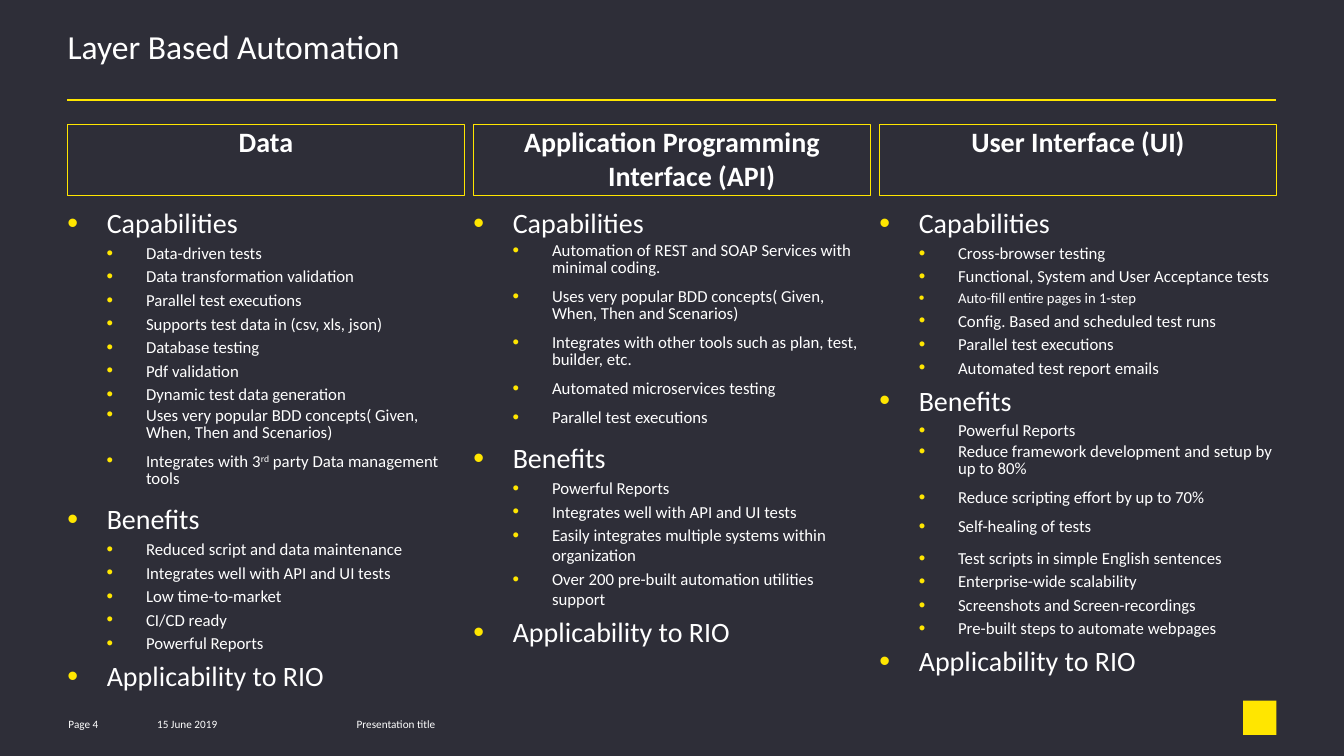
"""Builds the Layer Based Automation slide with three columns of bulleted text."""
from lxml.etree import SubElement
from pptx import Presentation
from pptx.dml.color import RGBColor
from pptx.enum.shapes import MSO_CONNECTOR as Connector, MSO_SHAPE as Shape
from pptx.enum.text import MSO_ANCHOR as Anchor, PP_ALIGN as Align
from pptx.oxml.ns import qn
from pptx.util import Inches, Pt

DARK, YELLOW, WHITE = "2E2E38", "FFE600", "FFFFFF"
TITLE = "Layer Based Automation"
BDD = "Uses very popular BDD concepts( Given, When, Then and Scenarios)"
INTEGRATES = "Integrates well with API and UI tests"
PARALLEL = "Parallel test executions"
REPORTS = "Powerful Reports"

COLUMNS = [
    ("Data", [
        ("heading", ["Capabilities"]),
        ("item", ["Data-driven tests", "Data transformation validation", PARALLEL,
                  "Supports test data in (csv, xls, json)", "Database testing",
                  "Pdf validation", "Dynamic test data generation"]),
        ("tight", [BDD, "Integrates with 3^rd^ party Data management tools"]),
        ("heading", ["Benefits"]),
        ("item", ["Reduced script and data maintenance", INTEGRATES,
                  "Low time-to-market", "CI/CD ready", REPORTS]),
        ("heading", ["Applicability to RIO"]),
    ]),
    ("Application Programming Interface (API)", [
        ("heading", ["Capabilities"]),
        ("tight", ["Automation of REST and SOAP Services with minimal coding.", BDD,
                   "Integrates with other tools such as plan, test, builder, etc.",
                   "Automated microservices testing", PARALLEL]),
        ("heading", ["Benefits"]),
        ("item", [REPORTS, INTEGRATES,
                  "Easily integrates multiple systems within organization",
                  "Over 200 pre-built automation utilities support"]),
        ("heading", ["Applicability to RIO"]),
    ]),
    ("User Interface (UI)", [
        ("heading", ["Capabilities"]),
        ("item", ["Cross-browser testing", "Functional, System and User Acceptance tests"]),
        ("small", ["Auto-fill entire pages in 1-step"]),
        ("item", ["Config. Based and scheduled test runs", PARALLEL,
                  "Automated test report emails"]),
        ("heading", ["Benefits"]),
        ("item", [REPORTS]),
        ("tight", ["Reduce framework development and setup by up to 80%",
                   "Reduce scripting effort by up to 70%", "Self-healing of tests"]),
        ("item", ["Test scripts in simple English sentences", "Enterprise-wide scalability",
                  "Screenshots and Screen-recordings", "Pre-built steps to automate webpages"]),
        ("heading", ["Applicability to RIO"]),
    ]),
]
FOOTERS = [("Page 4", 0.68, 0.73), ("15 June 2019", 1.56, 1.3), ("Presentation title", 3.54, 3.38)]

STYLES = {
    "title": {"size": 24, "para": {"line_spacing": 0.85}},
    "footer": {"size": 8},
    "header": {"size": 20, "bold": True, "indent": 0.39, "para": {"alignment": Align.CENTER}},
    "heading": {"size": 20, "indent": 0.39, "bullet": True},
    "item": {"size": 12, "indent": 0.78, "level": 1, "bullet": True},
    "small": {"size": 10.5, "indent": 0.78, "level": 1, "bullet": True},
    "tight": {"size": 12, "indent": 0.78, "level": 1, "bullet": True,
              "para": {"line_spacing": 0.85, "space_after": Pt(6)}},
}
LEFT, PITCH, WIDTH, HANGING = 0.67, 4.03, 3.94, 0.39


def color(value):
    return RGBColor.from_string(value)


def set_all(target, values):
    for name, value in values.items():
        setattr(target, name, value)


def add_bullet(properties):
    bullet_color = SubElement(properties, qn("a:buClr"))
    SubElement(bullet_color, qn("a:srgbClr"), val=YELLOW)
    SubElement(properties, qn("a:buSzPct"), val="110000")
    SubElement(properties, qn("a:buFont"), typeface="Arial")
    SubElement(properties, qn("a:buChar"), char="•")


def write(box, entries, anchor=Anchor.TOP):
    frame = box.text_frame
    set_all(frame, {"word_wrap": True, "vertical_anchor": anchor, "margin_left": 0,
                    "margin_top": 0, "margin_right": 0, "margin_bottom": 0})
    for index, (style_name, text) in enumerate(entries):
        style = STYLES[style_name]
        para = frame.add_paragraph() if index else frame.paragraphs[0]
        set_all(para, {"alignment": Align.LEFT, "level": style.get("level", 0),
                       **style.get("para", {})})
        properties = para._p.get_or_add_pPr()
        if "indent" in style:
            para.space_before = Pt(style["size"] * 0.2)
            properties.set("marL", str(Inches(style["indent"])))
            properties.set("indent", str(-Inches(HANGING)))
        if style.get("bullet"):
            add_bullet(properties)
        for part, words in enumerate(text.split("^")):
            span = para.add_run()
            span.text = words
            set_all(span.font, {"name": "Calibri", "size": Pt(style["size"]),
                                "bold": style.get("bold", False)})
            span.font.color.rgb = color(WHITE)
            if part % 2:
                span._r.get_or_add_rPr().set("baseline", "30000")


def add_text(page, area, entries, anchor=Anchor.TOP):
    write(page.shapes.add_textbox(*map(Inches, area)), entries, anchor)


def add_rectangle(page, area):
    box = page.shapes.add_shape(Shape.RECTANGLE, *map(Inches, area))
    box.shadow.inherit = False
    return box


deck = Presentation()
set_all(deck, {"slide_width": Inches(13.34), "slide_height": Inches(7.5)})
page = deck.slides.add_slide(deck.slide_layouts[6])
page.background.fill.solid()
page.background.fill.fore_color.rgb = color(DARK)

add_text(page, (LEFT, 0.32, 12.01, 0.65), [("title", TITLE)])
rule = page.shapes.add_connector(Connector.STRAIGHT, *map(Inches, (LEFT, 0.99, 12.67, 0.99)))
rule.line.color.rgb = color(YELLOW)
rule.line.width = Pt(1.5)
SubElement(rule._element.spPr, qn("a:effectLst"))

for number, (header, groups) in enumerate(COLUMNS):
    left = LEFT + number * PITCH
    header_box = add_rectangle(page, (left, 1.24, WIDTH, 0.7))
    header_box.fill.background()
    header_box.line.color.rgb = color(YELLOW)
    header_box.line.width = Pt(0.75)
    write(header_box, [("header", header)])
    entries = [(style, text) for style, texts in groups for text in texts]
    add_text(page, (left, 2.04, WIDTH, 4.65), entries)

for text, left, width in FOOTERS:
    add_text(page, (left, 7.08, width, 0.2), [("footer", text)], Anchor.MIDDLE)

emblem = add_rectangle(page, (12.34, 6.95, 0.33, 0.34))
emblem.fill.solid()
emblem.fill.fore_color.rgb = color(YELLOW)
emblem.line.fill.background()

deck.save("out.pptx")
